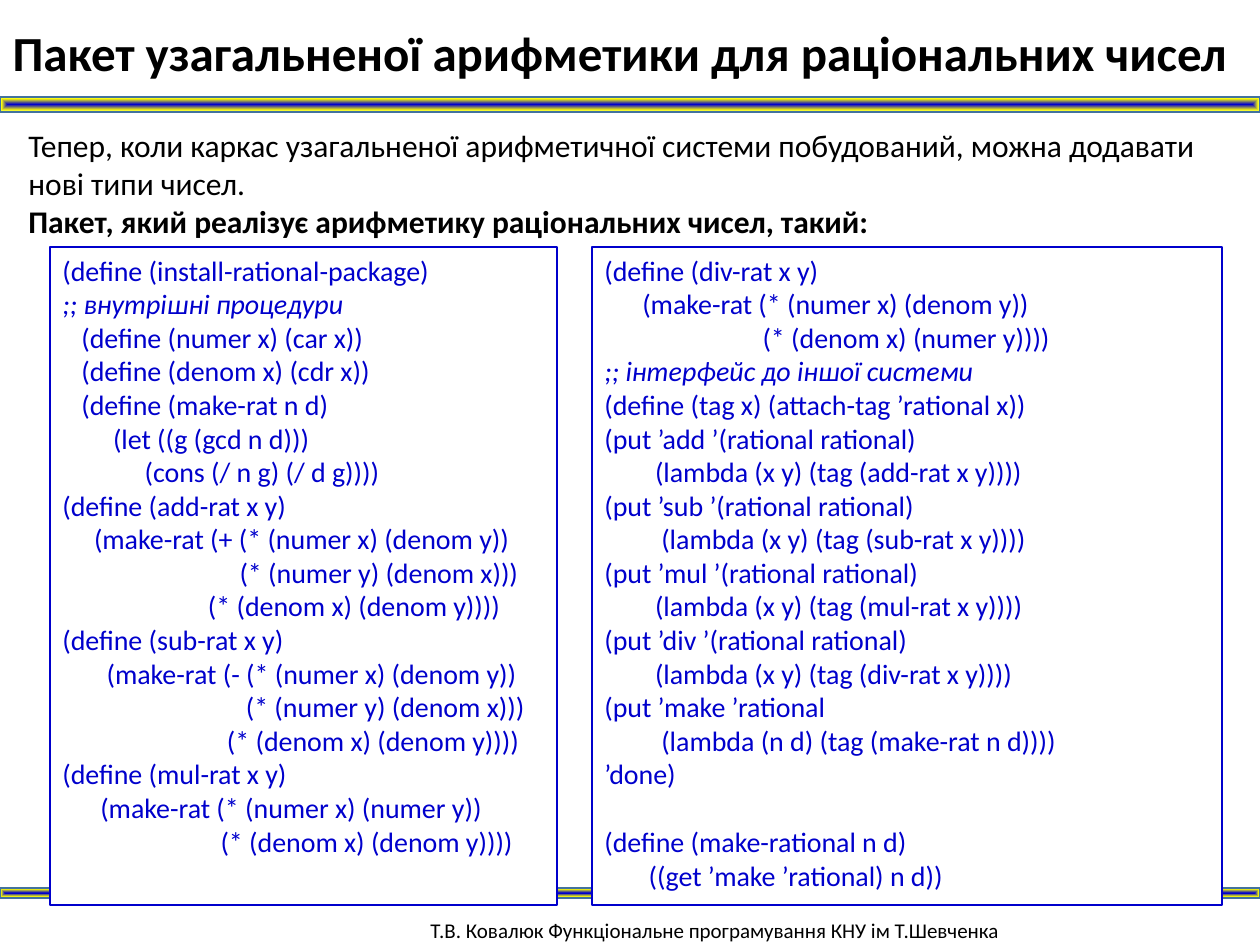
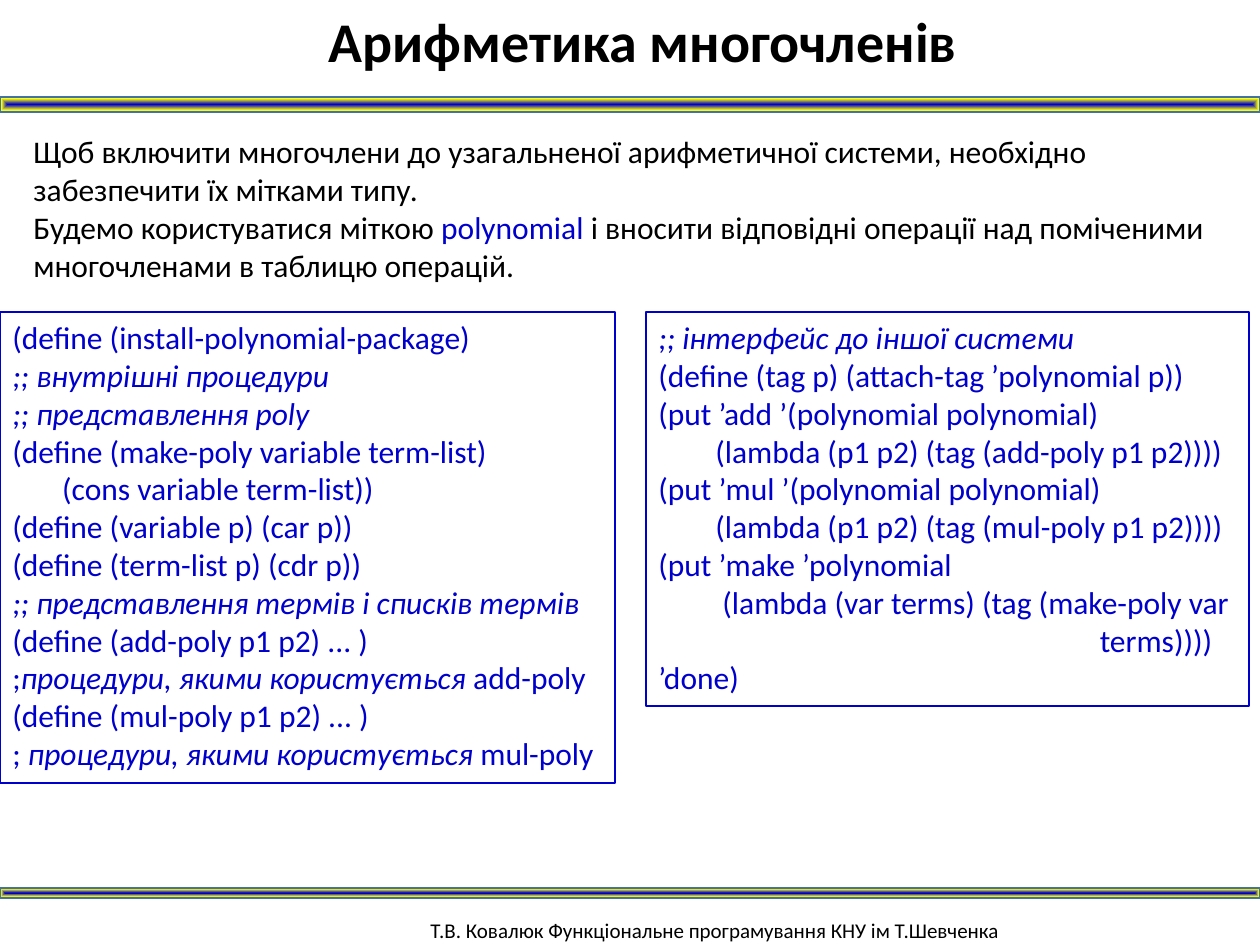
from dataclasses import dataclass

from pptx import Presentation
from pptx.dml.color import RGBColor
from pptx.enum.shapes import MSO_SHAPE
from pptx.enum.text import MSO_ANCHOR, MSO_AUTO_SIZE, PP_ALIGN
from pptx.oxml import parse_xml
from pptx.oxml.ns import nsdecls, qn
from pptx.util import Emu, Pt

RECTANGLE = MSO_SHAPE.RECTANGLE
TOP = MSO_ANCHOR.TOP
FIXED = MSO_AUTO_SIZE.NONE
LEFT = PP_ALIGN.LEFT

PX_PER_INCH = 126
TITLE_ONLY = 5
FONT = "Calibri"
SPACE_WIDTH = 0.226
LINE_HEIGHT = 1.22
COLORS = {
    "text": "000000",
    "code": "0000CC",
    "paper": "FFFFFF",
    "band_line": "43739E",
}
BAND_STOPS = [(0, "0000CC"), (77, "FFFF00"), (100, "CEE1F2")]
FOOTER = "Т.В. Ковалюк Функціональне програмування КНУ ім Т.Шевченка"


@dataclass
class Line:
    runs: tuple
    columns: int = 0
    lines_before: int = 0


def line(*runs, **layout):
    return Line(runs, **layout)


def indented(columns, text):
    return line(text, columns=columns)


def comment(text):
    return text, {"italic": True}


def px(length):
    return Emu(round(length * 914400 / PX_PER_INCH))


def rgb(name):
    return RGBColor.from_string(COLORS[name])


def style_run(run, size, color="text", bold=False, italic=False):
    font = run.font
    font.name = FONT
    font.size = Pt(size)
    font.bold = bold
    font.italic = italic
    font.color.rgb = rgb(color)


def write_text(shape, lines, **style):
    frame = shape.text_frame
    frame.word_wrap = True
    frame.auto_size = FIXED
    frame.vertical_anchor = TOP
    size = style["size"]
    for index, item in enumerate(lines):
        if not isinstance(item, Line):
            item = line(item)
        paragraph = frame.paragraphs[0] if index == 0 else frame.add_paragraph()
        paragraph.alignment = LEFT
        if item.columns:
            indent = Pt(item.columns * SPACE_WIDTH * size)
            paragraph._p.get_or_add_pPr().set("marL", str(indent))
        if item.lines_before:
            paragraph.space_before = Pt(item.lines_before * LINE_HEIGHT * size)
        for part in item.runs:
            text, changes = (part, {}) if isinstance(part, str) else part
            run = paragraph.add_run()
            run.text = text
            style_run(run, **{**style, **changes})


class LectureDeck:
    def __init__(self):
        self.presentation = Presentation()
        self.presentation.slide_width = px(1260)
        self.presentation.slide_height = px(945)
        self.slide = None

    def start_slide(self, title, box, size):
        layout = self.presentation.slide_layouts[TITLE_ONLY]
        self.slide = self.presentation.slides.add_slide(layout)
        self.band(97, 15)
        self.band(888, 10)
        self.text((418, 911, 756, 40), [FOOTER], size=12)
        heading = self.slide.shapes.title
        heading.left, heading.top, heading.width, heading.height = map(px, box)
        write_text(heading, [title], size=size, bold=True)

    def rectangle(self, box, line_color, line_width):
        shape = self.slide.shapes.add_shape(RECTANGLE, *map(px, box))
        shape.shadow.inherit = False
        shape.fill.background()
        shape.line.color.rgb = rgb(line_color)
        shape.line.width = Pt(line_width)
        return shape

    def band(self, top, height):
        shape = self.rectangle((0, top, 1260, height), "band_line", 1)
        stops = "".join(
            f'<a:gs pos="{position * 1000}"><a:srgbClr val="{color}"/></a:gs>'
            for position, color in BAND_STOPS
        )
        gradient = parse_xml(
            f'<a:gradFill {nsdecls("a")} rotWithShape="1"><a:gsLst>{stops}</a:gsLst>'
            '<a:path path="shape"><a:fillToRect l="50000" t="50000" r="50000" b="50000"/>'
            "</a:path></a:gradFill>"
        )
        properties = shape.element.spPr
        properties.replace(properties.find(qn("a:noFill")), gradient)

    def text(self, box, lines, size=18):
        shape = self.slide.shapes.add_textbox(*map(px, box))
        write_text(shape, lines, size=size)

    def code(self, box, lines, size, fill=None):
        shape = self.rectangle(box, "code", 0.75)
        if fill:
            shape.fill.solid()
            shape.fill.fore_color.rgb = rgb(fill)
        write_text(shape, lines, size=size, color="code")


def put_operation(name, package, arguments, procedure, columns):
    return [
        f"(put ’{name} ’({package} {package})",
        indented(columns, f"(lambda ({arguments}) (tag ({procedure} {arguments}))))"),
    ]


def rational_slide(deck):
    deck.start_slide(
        "Пакет узагальненої арифметики для раціональних чисел", (0, 16, 1254, 72), 28
    )
    deck.text((16, 120, 1220, 127), [
        "Тепер, коли каркас узагальненої арифметичної системи побудований, "
        "можна додавати нові типи чисел.",
        ("Пакет, який реалізує арифметику раціональних чисел, такий:", {"bold": True}),
    ])
    deck.code((50, 247, 507, 658), [
        "(define (install-rational-package)",
        comment(";; внутрішні процедури"),
        indented(3, "(define (numer x) (car x))"),
        indented(3, "(define (denom x) (cdr x))"),
        indented(3, "(define (make-rat n d)"),
        indented(8, "(let ((g (gcd n d)))"),
        indented(13, "(cons (/ n g) (/ d g))))"),
        "(define (add-rat x y)",
        indented(5, "(make-rat (+ (* (numer x) (denom y))"),
        indented(28, "(* (numer y) (denom x)))"),
        indented(23, "(* (denom x) (denom y))))"),
        "(define (sub-rat x y)",
        indented(7, "(make-rat (- (* (numer x) (denom y))"),
        indented(29, "(* (numer y) (denom x)))"),
        indented(26, "(* (denom x) (denom y))))"),
        "(define (mul-rat x y)",
        indented(6, "(make-rat (* (numer x) (numer y))"),
        indented(25, "(* (denom x) (denom y))))"),
    ], size=16, fill="paper")
    operations = [("add", 8), ("sub", 9), ("mul", 8), ("div", 8)]
    deck.code((592, 247, 630, 658), [
        "(define (div-rat x y)",
        indented(6, "(make-rat (* (numer x) (denom y))"),
        indented(25, "(* (denom x) (numer y))))"),
        comment(";; інтерфейс до іншої системи"),
        "(define (tag x) (attach-tag ’rational x))",
        *(item for name, columns in operations
          for item in put_operation(name, "rational", "x y", f"{name}-rat", columns)),
        "(put ’make ’rational",
        indented(9, "(lambda (n d) (tag (make-rat n d))))"),
        "’done)",
        line("(define (make-rational n d)", lines_before=1),
        indented(7, "((get ’make ’rational) n d))"),
    ], size=16, fill="paper")


def polynomial_slide(deck):
    deck.start_slide("Арифметика многочленів", (316, 0, 660, 81), 32)
    deck.text((21, 126, 1227, 165), [
        "Щоб включити многочлени до узагальненої арифметичної системи, "
        "необхідно забезпечити їх мітками типу.",
        line(
            "Будемо користуватися міткою ",
            ("polynomial ", {"color": "code"}),
            "і вносити відповідні операції над поміченими многочленами "
            "в таблицю операцій.",
        ),
    ])
    deck.code((0, 312, 615, 471), [
        "(define (install-polynomial-package)",
        comment(";; внутрішні процедури"),
        comment(";; представлення poly"),
        "(define (make-poly variable term-list)",
        indented(7, "(cons variable term-list))"),
        "(define (variable p) (car p))",
        "(define (term-list p) (cdr p))",
        comment(";; представлення термів і списків термів"),
        "(define (add-poly p1 p2) ... )",
        line(";", comment("процедури, якими користується "), "add-poly"),
        "(define (mul-poly p1 p2) ... )",
        line(";", comment(" процедури, якими користується "), "mul-poly"),
    ], size=18)
    deck.code((646, 312, 603, 394), [
        comment(";; інтерфейс до іншої системи"),
        "(define (tag p) (attach-tag ’polynomial p))",
        *(item for name in ("add", "mul")
          for item in put_operation(name, "polynomial", "p1 p2", f"{name}-poly", 8)),
        "(put ’make ’polynomial",
        indented(9, "(lambda (var terms) (tag (make-poly var"),
        indented(62, "terms))))"),
        "’done)",
    ], size=18)


def main():
    deck = LectureDeck()
    rational_slide(deck)
    polynomial_slide(deck)
    deck.presentation.save("out.pptx")


if __name__ == "__main__":
    main()
